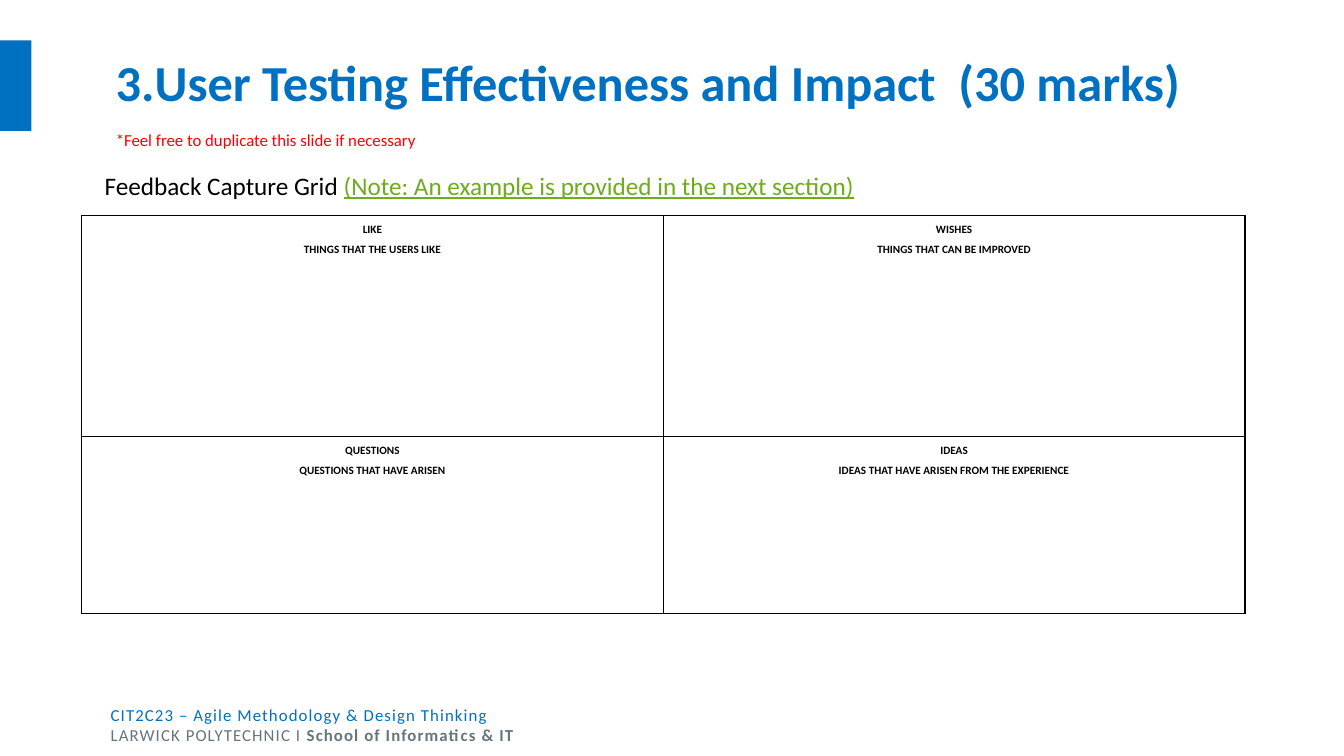
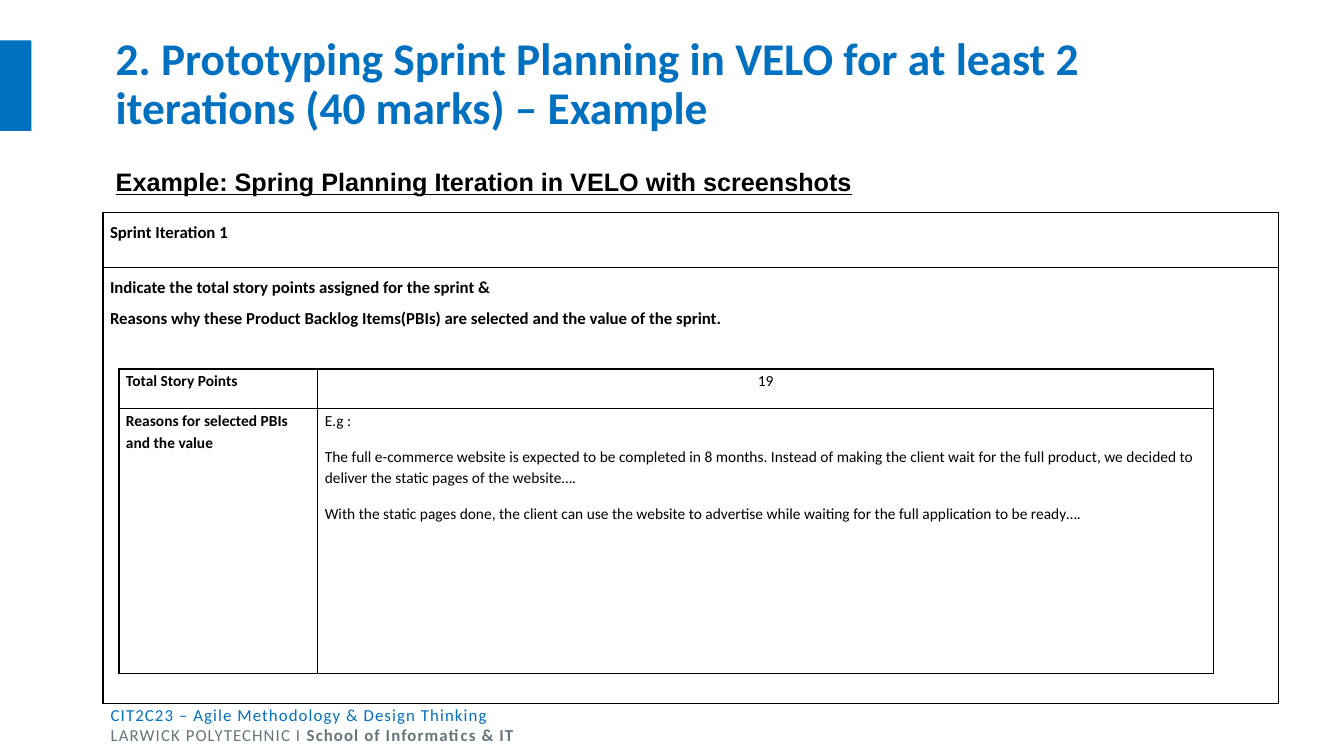
from dataclasses import dataclass

from lxml import etree
from pptx import Presentation
from pptx.dml.color import RGBColor
from pptx.enum import shapes, text
from pptx.oxml import parse_xml
from pptx.oxml.ns import nsdecls, qn
from pptx.util import Pt


@dataclass(frozen=True)
class Theme:
    blue: str = "0070C0"
    grey: str = "65757D"
    red: str = "FF0000"
    green: str = "6EAC1C"
    black: str = "000000"
    body_font: str = "Calibri"
    heading_font: str = "Arial"
    title: float = 36
    long_title: float = 32.4
    heading: float = 18
    body: float = 12
    detail: float = 11
    label: float = 8


theme = Theme()
CENTER = text.PP_ALIGN.CENTER


def write_text(frame, paragraphs, font, layout=None):
    """Fill a frame; each paragraph is a list of (text, font changes) spans."""
    for index, spans in enumerate(paragraphs):
        para = frame.paragraphs[0] if index == 0 else frame.add_paragraph()
        for name, value in (layout or {}).items():
            setattr(para, name, value)
        for words, changes in spans:
            span = para.add_run()
            span.text = words
            values = {"name": theme.body_font, "color": theme.black, **font, **changes}
            span.font.color.rgb = RGBColor.from_string(values.pop("color"))
            span.font.size = Pt(values.pop("size"))
            for name, value in values.items():
                setattr(span.font, name, value)


def add_grid(page, left, top, columns, rows, cells, inset, font, layout):
    """Add a plain ruled table; each cell is (lines, font changes, layout changes)."""
    table = page.shapes.add_table(len(rows), len(columns), Pt(left), Pt(top),
                                  Pt(sum(columns)), Pt(sum(rows))).table
    table.first_row = table.horz_banding = False
    for column, width in zip(table.columns, columns):
        column.width = Pt(width)
    for row, height in zip(table.rows, rows):
        row.height = Pt(height)
    for cell, (lines, font_changes, layout_changes) in zip(table.iter_cells(), cells):
        cell.margin_left = cell.margin_right = Pt(inset)
        cell.margin_top = cell.margin_bottom = Pt(0)
        for side in ("lnL", "lnR", "lnT", "lnB"):
            cell._tc.get_or_add_tcPr().append(parse_xml(
                f'<a:{side} {nsdecls("a")} w="{Pt(1)}"><a:solidFill>'
                f'<a:srgbClr val="{theme.black}"/></a:solidFill></a:{side}>'))
        cell.fill.background()
        write_text(cell.text_frame, [[(line, {})] for line in lines],
                   {**font, **font_changes}, {**layout, **layout_changes})


feedback_cells = [
    (lines, {}, {}) for lines in (
        ["LIKE", "THINGS THAT THE USERS LIKE"],
        ["WISHES", "THINGS THAT CAN BE IMPROVED"],
        ["QUESTIONS", "QUESTIONS THAT HAVE ARISEN"],
        ["IDEAS", "IDEAS THAT HAVE ARISEN FROM THE EXPERIENCE"],
    )
]
sprint_cells = [
    (["Sprint Iteration 1"], {}, {}),
    (["Indicate the total story points assigned for the sprint &",
      "Reasons why these Product Backlog Items(PBIs) are selected and the value of the sprint."],
     {}, {}),
]
reason_cells = [
    (["Total Story Points"], {"bold": True}, {}),
    (["19"], {}, {"alignment": CENTER}),
    (["Reasons for selected PBIs and the value"], {"bold": True}, {}),
    (["E.g :",
      "The full e-commerce website is expected to be completed in 8 months. Instead of making "
      "the client wait for the full product, we decided to deliver the static pages of the website….",
      "With the static pages done, the client can use the website to advertise while waiting "
      "for the full application to be ready…."], {}, {}),
]

# Each box: left, top, width, height, spans, font, paragraph layout
# Each grid: left, top, columns, rows, cells, inset, font, paragraph layout
pages = [
    {
        "title": "User Testing Effectiveness and Impact  (30 marks)",
        "size": theme.title,
        "number": 3,
        "boxes": [
            (75.6, 89.3, 240, 21.6, [("*Feel free to duplicate this slide if necessary", {})],
             {"size": theme.body, "color": theme.red}, {}),
            (67.7, 118, 557, 28.8,
             [("Feedback Capture Grid ", {}),
              ("(Note: An example is provided in the next section)",
               {"color": theme.green, "underline": True})],
             {"size": theme.heading}, {}),
        ],
        "grids": [
            (58.3, 154.1, [415.5, 415.5], [157.7, 126.7], feedback_cells, 1.4,
             {"size": theme.label, "bold": True},
             {"alignment": CENTER, "line_spacing": 1.5}),
        ],
    },
    {
        "title": "2. Prototyping Sprint Planning in VELO for at least 2 iterations (40 marks) – Example",
        "size": theme.long_title,
        "number": None,
        "boxes": [
            (75.6, 104.4, 864, 36,
             [("Example: Spring Planning Iteration in VELO with screenshots", {})],
             {"size": theme.heading, "name": theme.heading_font, "bold": True, "underline": True},
             {"alignment": text.PP_ALIGN.JUSTIFY, "line_spacing": 1.5}),
        ],
        "grids": [
            (73.6, 152, [839.5], [38.9, 311.8], sprint_cells, 5,
             {"size": theme.body, "bold": True}, {"line_spacing": 1.5}),
            (85, 263.5, [142, 640], [28.4, 189.4], reason_cells, 5,
             {"size": theme.detail}, {"line_spacing": 1.15, "space_after": Pt(10)}),
        ],
    },
]
footer_lines = [
    [("CIT2C23 – Agile Methodology & Design Thinking", {"color": theme.blue})],
    [("LARWICK POLYTECHNIC I ", {}), ("School of Informatics & IT", {"bold": True})],
]

deck = Presentation()
deck.slide_width, deck.slide_height = Pt(960), Pt(540)

for content in pages:
    page = deck.slides.add_slide(deck.slide_layouts[6])

    footer = page.shapes.add_textbox(Pt(72), Pt(499.7), Pt(837.4), Pt(36)).text_frame
    footer.word_wrap = True
    write_text(footer, footer_lines, {"size": theme.body, "color": theme.grey})
    for para in footer.paragraphs:
        for span in para.runs:
            span.font._element.set("spc", "80")

    band = page.shapes.add_shape(shapes.MSO_SHAPE.RECTANGLE, Pt(0), Pt(28.8), Pt(22.5), Pt(64.8))
    band.shadow.inherit = False
    band.fill.solid()
    band.fill.fore_color.rgb = RGBColor.from_string(theme.blue)
    band.line.fill.background()

    title = page.shapes.add_textbox(Pt(75.6), Pt(28.8), Pt(813.6), Pt(64.8)).text_frame
    title.word_wrap = True
    title.vertical_anchor = text.MSO_ANCHOR.MIDDLE
    write_text(title, [[(content["title"], {})]],
               {"size": content["size"], "color": theme.blue, "bold": True},
               {"line_spacing": 0.9})
    if content["number"]:
        properties = title.paragraphs[0]._p.get_or_add_pPr()
        properties.set("marL", str(Pt(27)))
        properties.set("indent", str(-Pt(27)))
        etree.SubElement(properties, qn("a:buFont"), typeface="+mj-lt")
        etree.SubElement(properties, qn("a:buAutoNum"), type="arabicPeriod",
                         startAt=str(content["number"]))

    for left, top, width, height, spans, font, layout in content["boxes"]:
        box = page.shapes.add_textbox(Pt(left), Pt(top), Pt(width), Pt(height))
        box.text_frame.word_wrap = True
        write_text(box.text_frame, [spans], font, layout)

    for grid in content["grids"]:
        add_grid(page, *grid)

deck.save("out.pptx")
